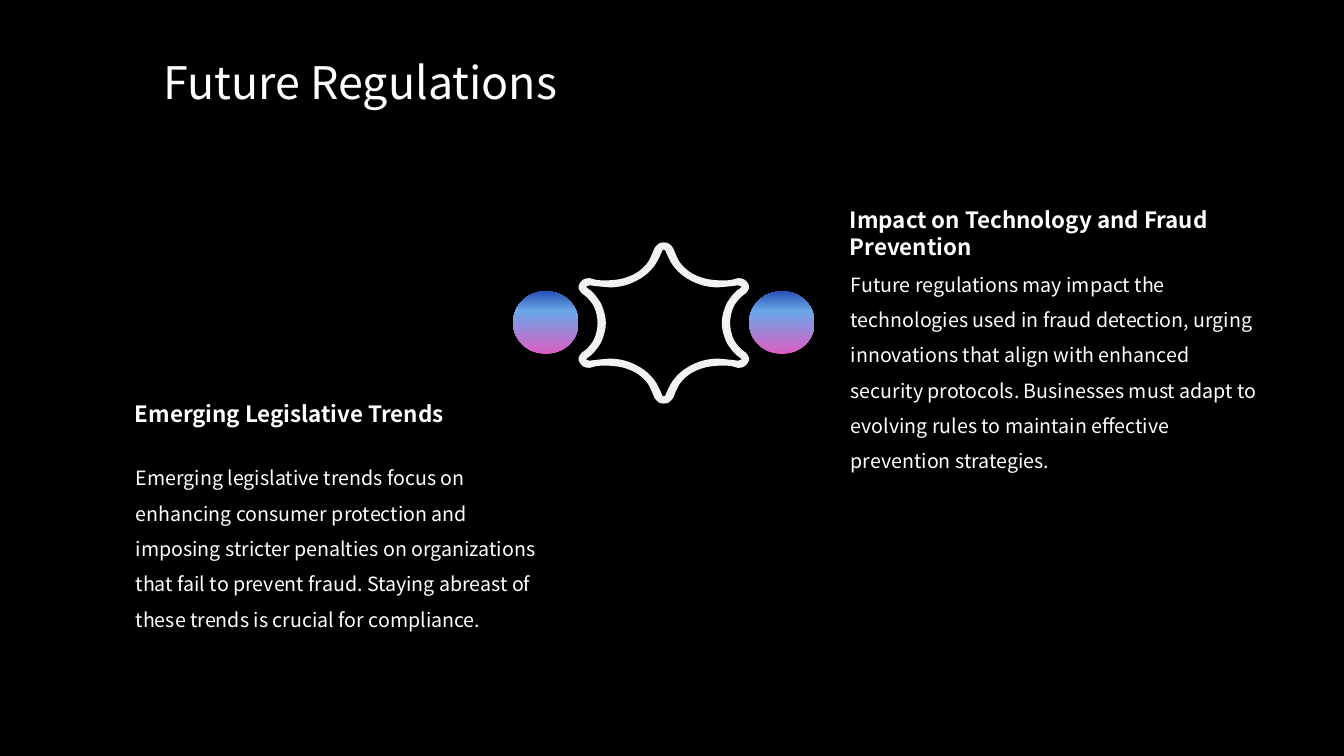
from copy import deepcopy

from lxml import etree
from pptx import Presentation
from pptx import util as u
from pptx.dml.color import RGBColor
from pptx.enum import shapes, text
from pptx.oxml import ns

Cm = u.Cm
COLORS = {"back": "000000", "text": "FFFFFF", "star": "F2F2F2",
          "pink": "DC5DC2", "sky": "6BA7E8", "blue": "2851B6"}
FONT = "Noto Sans CJK SC"


def rgb(name):
    return RGBColor.from_string(COLORS[name])


def star_contour(quarter):
    """Mirror a top-to-right quarter into a closed contour."""
    half = quarter + [(x, -y) for x, y in quarter[-2::-1]]
    pts = half + [(-x, y) for x, y in half[-2:0:-1]]
    return [(Cm(16.73 + x), Cm(8.14 + y)) for x, y in pts]


prs = Presentation()
prs.slide_width, prs.slide_height = Cm(33.87), Cm(19.05)
s = prs.slides.add_slide(prs.slide_layouts[6])
s.background.fill.solid()
s.background.fill.fore_color.rgb = rgb("back")

# Gradient circles on both sides of the star
for left in (12.93, 18.88):
    sp = s.shapes.add_shape(shapes.MSO_SHAPE.OVAL, Cm(left), Cm(7.34), Cm(1.65), Cm(1.58))
    sp.shadow.inherit = False
    sp.line.fill.background()
    sp.fill.gradient()
    sp.fill.gradient_angle = 90
    stops = sp._element.spPr.find(".//" + ns.qn("a:gsLst"))
    stops.append(deepcopy(stops[0]))
    ramp = ((0, "pink"), (0.68, "sky"), (1, "blue"))
    for stop, (position, name) in zip(sp.fill.gradient_stops, ramp):
        stop.position = position
        stop.color.rgb = rgb(name)

# Six-pointed star ring, quarters given in cm from its centre
outer = [(0, -2.03), (0.13, -2), (0.24, -1.88), (0.28, -1.78), (0.41, -1.52),
         (0.65, -1.29), (0.97, -1.14), (1.31, -1.08), (1.66, -1.08),
         (1.87, -1.13), (2.02, -1.1), (2.12, -1), (2.15, -0.88),
         (2.07, -0.75), (1.94, -0.65), (1.75, -0.39), (1.67, 0)]
inner = [(0, -1.85), (0.04, -1.83), (0.06, -1.77), (0.23, -1.45), (0.5, -1.18),
         (0.88, -0.98), (1.28, -0.9), (1.71, -0.93), (1.87, -0.95),
         (1.94, -0.93), (1.94, -0.89), (1.77, -0.75), (1.56, -0.44), (1.46, 0)]
contours = [star_contour(outer), star_contour(inner)[::-1]]
builder = s.shapes.build_freeform(*contours[0][0])
for pts in contours:
    if pts is not contours[0]:
        builder.move_to(*pts[0])
    builder.add_line_segments(pts[1:] + pts[:1], close=True)
sp = builder.convert_to_shape()
sp.shadow.inherit = False
sp.fill.solid()
sp.fill.fore_color.rgb = rgb("star")
sp.line.fill.background()

# Turn the straight segments of the ring into smooth curves
segments = iter(sp._element.findall(".//" + ns.qn("a:lnTo")))
for pts in contours:
    for i in range(len(pts)):
        a, b, c, d = (pts[(i + k) % len(pts)] for k in (-1, 0, 1, 2))
        controls = ([q + (r - p) / 6 for p, q, r in zip(a, b, c)],
                    [r - (t - q) / 6 for q, r, t in zip(b, c, d)])
        segment = next(segments)
        curve = etree.Element(ns.qn("a:cubicBezTo"))
        for x, y in controls:
            etree.SubElement(curve, ns.qn("a:pt"),
                             x=str(round(x - sp.left)), y=str(round(y - sp.top)))
        curve.append(segment[0])
        segment.getparent().replace(segment, curve)

# Title, headings and body texts: left, top, width, height, size, bold, spacing
texts = [
    ("Future Regulations", 3.87, 1.26, 19.79, 1.63, 32, False, None),
    ("Emerging Legislative Trends", 3.15, 9.96, 10.8, 0.94, 16, True, None),
    ("Emerging legislative trends focus on enhancing consumer protection and "
     "imposing stricter penalties on organizations that fail to prevent fraud. "
     "Staying abreast of these trends is crucial for compliance.",
     3.17, 11.33, 10.8, 5.54, 14, False, 1.5),
    ("Impact on Technology and Fraud Prevention",
     21.17, 5.08, 10.8, 0.94, 16, True, None),
    ("Future regulations may impact the technologies used in fraud detection, "
     "urging innovations that align with enhanced security protocols. "
     "Businesses must adapt to evolving rules to maintain effective "
     "prevention strategies.",
     21.19, 6.45, 10.8, 5.54, 14, False, 1.5),
]
for words, left, top, width, height, size, bold, spacing in texts:
    tf = s.shapes.add_textbox(Cm(left), Cm(top), Cm(width), Cm(height)).text_frame
    tf.word_wrap = True
    tf.auto_size = text.MSO_AUTO_SIZE.SHAPE_TO_FIT_TEXT
    tf.text = words
    p = tf.paragraphs[0]
    p.line_spacing = spacing
    r = p.runs[0]
    r.font.name, r.font.size, r.font.bold = FONT, u.Pt(size), bold
    r.font.color.rgb = rgb("text")

prs.save("out.pptx")
